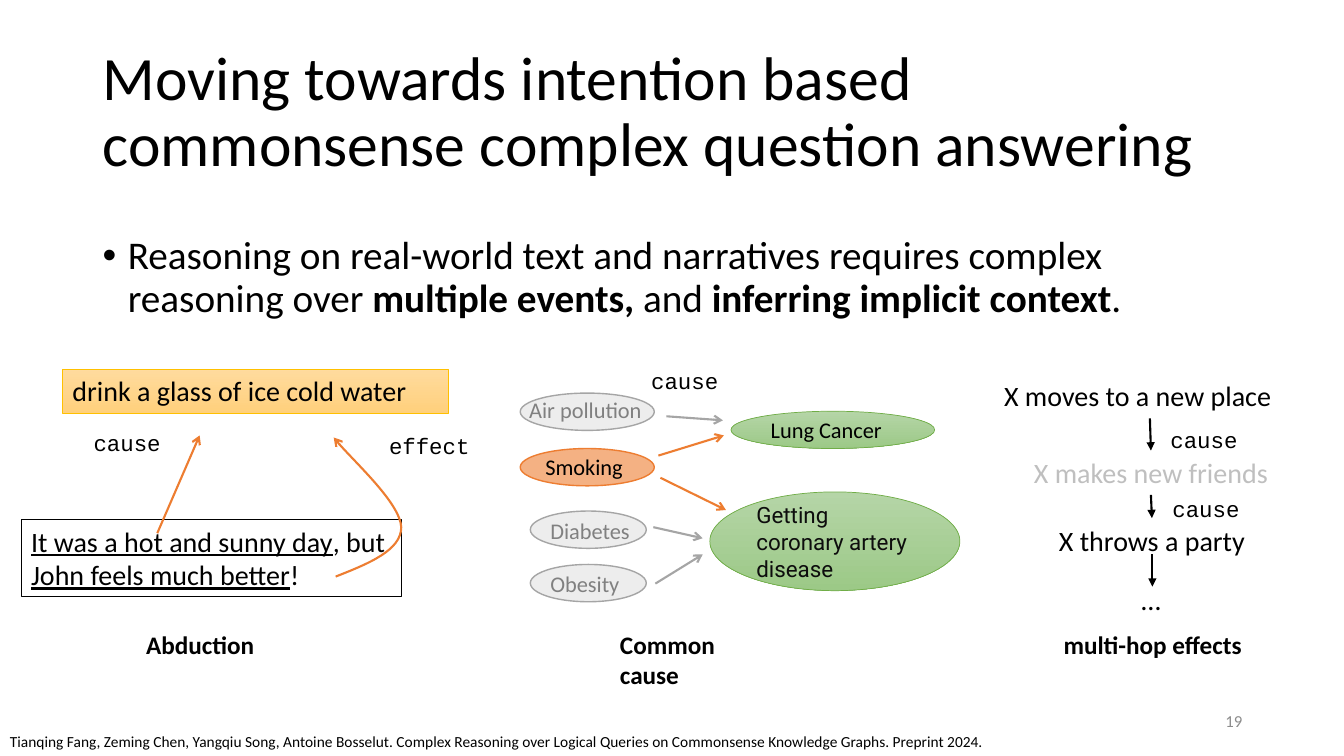
from pptx import Presentation
from pptx.dml.color import RGBColor
from pptx.enum.shapes import MSO_CONNECTOR, MSO_SHAPE
from pptx.enum.text import MSO_ANCHOR, MSO_AUTO_SIZE, PP_ALIGN
from pptx.oxml.ns import qn
from pptx.util import Inches, Pt
from lxml.etree import SubElement

rgb = RGBColor.from_string
BLACK, GRAY, ORANGE, GREEN = "000000", "A5A5A5", "ED7D31", "70AD47"

deck = Presentation()
deck.slide_width, deck.slide_height = Inches(13.33), Inches(7.5)
slide = deck.slides.add_slide(deck.slide_layouts[6])
shapes = slide.shapes


def write(shape, pieces, size, color=BLACK, font="Calibri", align=PP_ALIGN.LEFT,
          anchor=MSO_ANCHOR.TOP, bold=False, wrap=True):
    frame = shape.text_frame
    frame.word_wrap = wrap
    frame.vertical_anchor = anchor
    if not wrap:
        frame.auto_size = MSO_AUTO_SIZE.SHAPE_TO_FIT_TEXT
    paragraph = frame.paragraphs[0]
    paragraph.alignment = align
    for piece in pieces:
        run = paragraph.add_run()
        run.text = piece
        run.font.size = Pt(size)
        run.font.name = font
        run.font.bold = bold
        run.font.color.rgb = rgb(color)
    return paragraph


def stroke(shape, color, width, head=None):
    shape.line.color.rgb = rgb(color)
    shape.line.width = Pt(width)
    properties = shape._element.spPr
    if head:
        SubElement(properties.find(qn("a:ln")), qn("a:tailEnd"), type=head)
    if properties.find(qn("a:effectLst")) is None:
        SubElement(properties, qn("a:effectLst"))


title = shapes.add_textbox(Inches(0.92), Inches(0.4), Inches(11.5), Inches(1.45))
write(title, ["Moving towards intention based commonsense complex question answering"],
      44, anchor=MSO_ANCHOR.MIDDLE).line_spacing = 0.9

body = shapes.add_textbox(Inches(0.92), Inches(2.29), Inches(11.5), Inches(1.1))
claim = write(body, ["Reasoning on real-world text and narratives requires complex reasoning over ",
                     "multiple events, ", "and ", "inferring implicit context", "."], 28)
claim.line_spacing = 0.9
claim.space_before = Pt(10)
for run in claim.runs[1::2]:
    run.font.bold = True
bullet = claim._p.get_or_add_pPr()
bullet.set("marL", str(Inches(0.25)))
bullet.set("indent", str(-Inches(0.25)))
SubElement(bullet, qn("a:buFont"), typeface="Arial")
SubElement(bullet, qn("a:buChar"), char="•")

page_number = shapes.add_textbox(Inches(9.42), Inches(6.95), Inches(3), Inches(0.4))
write(page_number, ["19"], 12, "8C8C8C", align=PP_ALIGN.RIGHT, anchor=MSO_ANCHOR.MIDDLE)

for caption, left, width in [("Abduction", 1.35, 1.28), ("Common cause", 6.05, 1.78),
                             ("multi-hop effects", 10.45, 1.99)]:
    box = shapes.add_textbox(Inches(left), Inches(6.19), Inches(width), Inches(0.4))
    write(box, [caption], 18, bold=True, wrap=False)

for outcome, left, top, width, height, font, color in [
    ("Lung Cancer", 7.25, 4.08, 2.02, 0.37, "Calibri", BLACK),
    ("Getting coronary artery disease", 7.04, 4.88, 2.48, 0.98, "Roboto", "0D0D0D"),
]:
    oval = shapes.add_shape(MSO_SHAPE.OVAL, Inches(left), Inches(top), Inches(width), Inches(height))
    oval.fill.gradient()
    oval.fill.gradient_angle = 270
    for stop, shade in zip(oval.fill.gradient_stops, ("B5D5A7", "9CC987")):
        stop.color.rgb = rgb(shade)
    stroke(oval, GREEN, 0.5)
    write(oval, [outcome], 16, color, font, anchor=MSO_ANCHOR.MIDDLE)

for factor, left, top, width, text_left, text_top, fill, outline, color in [
    ("Smoking", 5.16, 4.45, 1.33, 5.31, 4.45, "F4B183", ORANGE, BLACK),
    ("Air pollution", 5.16, 3.9, 1.33, 5.15, 3.88, "EDEDED", GRAY, "808080"),
    ("Diabetes", 5.26, 5.07, 1.15, 5.36, 5.08, "EDEDED", GRAY, "808080"),
    ("Obesity", 5.26, 5.6, 1.15, 5.36, 5.61, "EDEDED", GRAY, "808080"),
]:
    group = shapes.add_group_shape()
    oval = group.shapes.add_shape(MSO_SHAPE.OVAL, Inches(left), Inches(top), Inches(width), Inches(0.37))
    oval.fill.solid()
    oval.fill.fore_color.rgb = rgb(fill)
    stroke(oval, outline, 1)
    label = group.shapes.add_textbox(Inches(text_left), Inches(text_top), Inches(1.42), Inches(0.37))
    write(label, [factor], 16, color)

hops = []
for event, left, top, width, color in [
    ("X moves to a new place", 9.86, 3.71, 3.09, BLACK),
    ("X makes new friends", 10.07, 4.47, 2.69, "BFBFBF"),
    ("X throws a party", 10.08, 5.14, 2.69, BLACK),
    ("…", 10.07, 5.73, 2.69, BLACK),
]:
    hop = shapes.add_textbox(Inches(left), Inches(top), Inches(width), Inches(0.44))
    write(hop, [event], 20, color, align=PP_ALIGN.CENTER if hops else PP_ALIGN.LEFT)
    hops.append(hop)

story = shapes.add_shape(MSO_SHAPE.RECTANGLE, Inches(0.21), Inches(5.15), Inches(3.77), Inches(0.77))
story.fill.background()
stroke(story, BLACK, 0.75)
sentence = write(story, ["It was a hot and sunny day", ", but ", "John feels much better", "!"], 20)
for run in sentence.runs[::2]:
    run.font.underline = True

arrows = []
for x1, y1, x2, y2, color, head in [
    (6.53, 4.52, 7.18, 4.32, ORANGE, "arrow"),
    (6.61, 4.13, 7.17, 4.17, GRAY, "arrow"),
    (6.48, 5.23, 6.97, 5.34, GRAY, "arrow"),
    (6.5, 5.79, 6.97, 5.5, GRAY, "arrow"),
    (6.55, 4.74, 7.2, 5.06, ORANGE, "arrow"),
    (1.56, 5.29, 1.98, 4.32, ORANGE, "arrow"),
    (11.43, 5.5, 11.43, 5.82, BLACK, "triangle"),
    (11.4, 4.15, 11.42, 4.47, BLACK, "triangle"),
    (11.42, 4.91, 11.42, 5.14, BLACK, "triangle"),
]:
    arrow = shapes.add_connector(MSO_CONNECTOR.STRAIGHT, Inches(x1), Inches(y1), Inches(x2), Inches(y2))
    stroke(arrow, color, 1.5, head)
    arrows.append(arrow)
for arrow, source, target in zip(arrows[-2:], hops, hops[1:]):
    arrow.begin_connect(source, 2)
    arrow.end_connect(target, 0)

outline = shapes.build_freeform(Inches(3.33), Inches(5.72))
outline.add_line_segments(
    [(Inches(x), Inches(y)) for x, y in
     [(3.66, 5.59), (3.98, 5.46), (3.98, 5.23), (3.97, 5), (3.44, 4.51), (3.31, 4.34)]],
    close=False)
effect_curve = outline.convert_to_shape()
effect_curve.fill.background()
stroke(effect_curve, ORANGE, 1.5, "arrow")
contour = effect_curve._element.find(".//" + qn("a:path"))
segments = contour.findall(qn("a:lnTo"))
for start in (0, 3):
    bend = SubElement(contour, qn("a:cubicBezTo"))
    for segment in segments[start:start + 3]:
        bend.append(segment[0])
        contour.remove(segment)

cold_water = shapes.add_shape(MSO_SHAPE.RECTANGLE, Inches(0.62), Inches(3.66), Inches(3.83), Inches(0.44))
cold_water.fill.gradient()
cold_water.fill.gradient_angle = 270
for stop, shade in zip(cold_water.fill.gradient_stops, ("FFDB9E", "FFD07C")):
    stop.color.rgb = rgb(shade)
stroke(cold_water, "FFC000", 0.5)
write(cold_water, ["drink a glass of ice cold water"], 20)

for relation, left, top, width in [
    ("cause", 0.83, 4.21, 0.88), ("effect", 3.76, 4.24, 1.01), ("cause", 6.36, 3.59, 0.88),
    ("cause", 11.51, 4.18, 0.88), ("cause", 11.53, 4.86, 0.88),
]:
    box = shapes.add_textbox(Inches(left), Inches(top), Inches(width), Inches(0.37))
    write(box, [relation], 16, font="Courier New", wrap=False)

citation = shapes.add_textbox(Inches(0), Inches(7.21), Inches(10.45), Inches(0.29))
write(citation, ["Tianqing Fang, Zeming Chen, Yangqiu Song, Antoine Bosselut. Complex Reasoning over "
                 "Logical Queries on Commonsense Knowledge Graphs. Preprint 2024."], 11)

deck.save("out.pptx")
